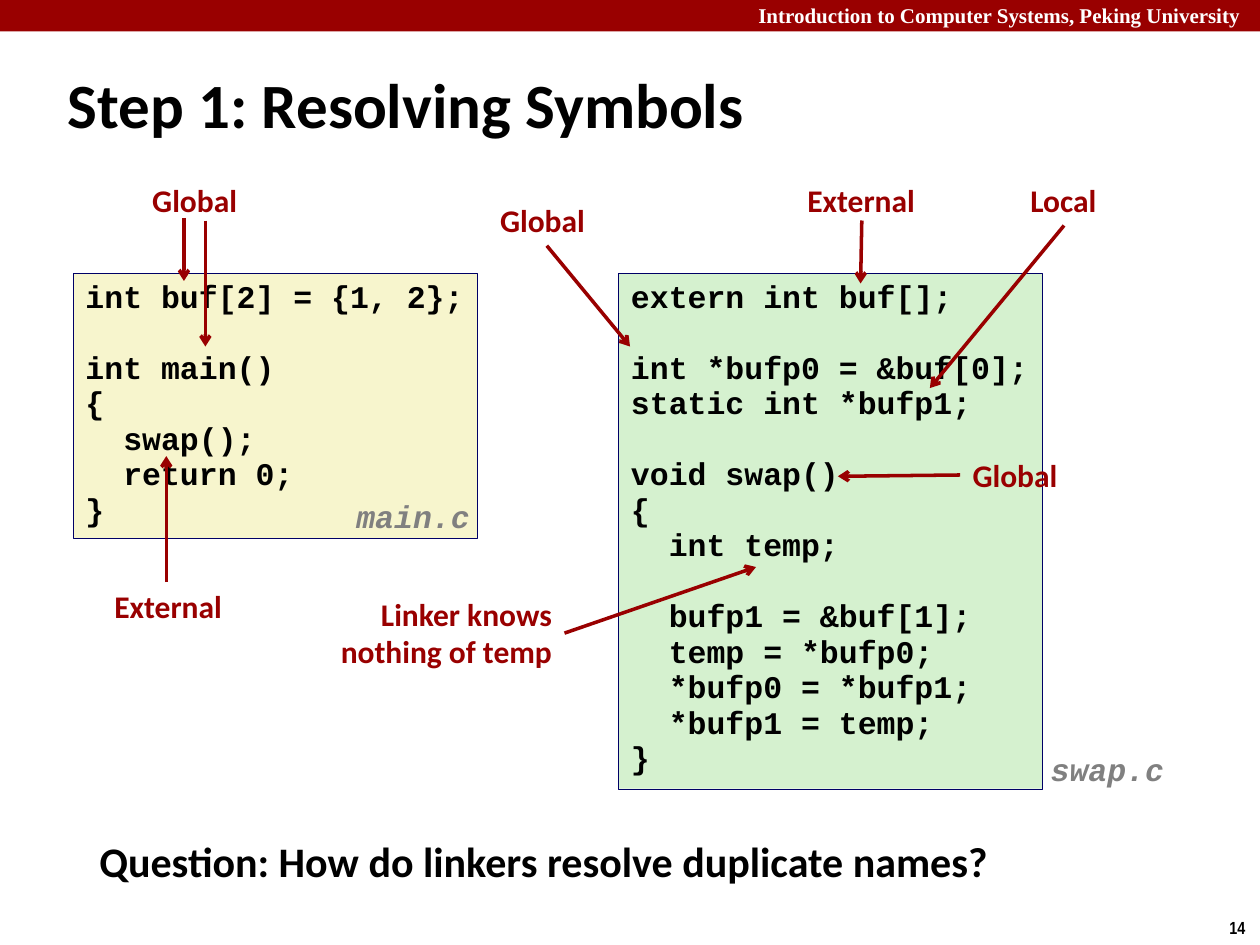
"""Build the slide on resolving symbols between main.c and swap.c."""
from dataclasses import dataclass
from typing import Optional

import pptx
import pptx.dml.color
import pptx.enum.shapes
import pptx.enum.text
import pptx.oxml
import pptx.oxml.ns
import pptx.util

Inches = pptx.util.Inches
Pt = pptx.util.Pt
RGB = pptx.dml.color.RGBColor
Align = pptx.enum.text.PP_ALIGN
Anchor = pptx.enum.text.MSO_ANCHOR
Fit = pptx.enum.text.MSO_AUTO_SIZE
RECT = pptx.enum.shapes.MSO_SHAPE.RECTANGLE
STRAIGHT = pptx.enum.shapes.MSO_CONNECTOR.STRAIGHT

RED = RGB(0x99, 0x00, 0x00)
BLACK = RGB(0x00, 0x00, 0x00)
WHITE = RGB(0xFF, 0xFF, 0xFF)
GRAY = RGB(0x80, 0x80, 0x80)
NAVY = RGB(0x00, 0x00, 0x66)
CREAM = RGB(0xF7, 0xF5, 0xCD)
GREEN = RGB(0xD5, 0xF1, 0xCF)

MAIN = """int buf[2] = {1, 2};
 
int main()
{
  swap();
  return 0;
}"""

SWAP = """extern int buf[];
 
int *bufp0 = &buf[0];
static int *bufp1;

void swap()
{
  int temp;

  bufp1 = &buf[1];
  temp = *bufp0;
  *bufp0 = *bufp1;
  *bufp1 = temp;
}"""


@dataclass
class Style:
    """Look of a text."""
    font: str
    size: int
    color: RGB
    italic: bool = False
    space: Optional[float] = None
    align: Align = Align.LEFT
    wrap: bool = False


@dataclass
class Note:
    """Text in a box."""
    text: str
    box: tuple
    style: Style


@dataclass
class Code:
    """Listing in a filled panel."""
    text: str
    box: tuple
    fill: RGB
    name: Note


@dataclass
class Arrow:
    """Line with a head at its end, and the side of the label it leaves."""
    start: tuple
    end: tuple
    side: Optional[int] = None


@dataclass
class Call:
    """Red label with its arrows."""
    note: Note
    arrows: list


HEAD = Style("Times New Roman", 12, WHITE, wrap=True)
PAGE = Style("Arial Narrow", 10, BLACK)
TITLE = Style("Calibri", 36, BLACK, wrap=True)
ASK = Style("Calibri", 24, BLACK, wrap=True)
CODE = Style("Courier New", 18, BLACK, space=0.94)
FILE = Style("Courier New", 18, GRAY, italic=True, space=0.94)
LABEL = Style("Calibri", 18, RED)
RIGHT = Style("Calibri", 18, RED, align=Align.RIGHT)

CODES = [
    Code(MAIN, (0.58, 2.17, 3.21, 2.1), CREAM,
         Note("main.c", (2.73, 3.92, 1.1, 0.39), FILE)),
    Code(SWAP, (4.91, 2.17, 3.36, 4.09), GREEN,
         Note("swap.c", (8.24, 5.93, 1.1, 0.39), FILE)),
]

CALLS = [
    Call(Note("Global", (1.11, 1.39, 0.88, 0.4), LABEL),
         [Arrow((1.46, 1.73), (1.46, 2.23)), Arrow((1.63, 1.75), (1.63, 2.75))]),
    Call(Note("External", (0.81, 4.61, 1.06, 0.4), LABEL),
         [Arrow((1.32, 4.62), (1.32, 3.62))]),
    Call(Note("External", (6.31, 1.39, 1.06, 0.4), LABEL),
         [Arrow((6.84, 1.75), (6.83, 2.25))]),
    Call(Note("Local", (8.08, 1.39, 0.73, 0.4), LABEL),
         [Arrow((8.45, 1.79), (7.38, 3.08), 2)]),
    Call(Note("Global", (7.62, 3.57, 0.88, 0.4), LABEL),
         [Arrow((7.62, 3.77), (6.65, 3.78), 1)]),
    Call(Note("Linker knows\nnothing of temp", (2.59, 4.67, 1.89, 0.71), RIGHT),
         [Arrow((4.48, 5.02), (6, 4.5), 3)]),
    Call(Note("Global", (3.87, 1.55, 0.88, 0.4), LABEL),
         [Arrow((4.34, 1.95), (5, 2.75))]),
]


def add_xml(parent, tag: str, **attrs: str):
    """Append a drawing element and return it."""
    node = pptx.oxml.parse_xml(f"<a:{tag} {pptx.oxml.ns.nsdecls('a')}/>")
    for key, value in attrs.items():
        node.set(key, value)
    parent.append(node)
    return node


def write(shape, text: str, style: Style) -> None:
    """Fill a shape with styled text."""
    frame = shape.text_frame
    frame.text = text
    frame.word_wrap = style.wrap
    frame.auto_size = Fit.NONE if style.wrap else Fit.SHAPE_TO_FIT_TEXT
    frame.vertical_anchor = Anchor.TOP
    for para in frame.paragraphs:
        para.alignment = style.align
        if style.space:
            para.line_spacing = style.space
        font = para.font
        font.name, font.size = style.font, Pt(style.size)
        font.bold, font.italic = True, style.italic
        font.color.rgb = style.color


def draw_note(slide, note: Note):
    """Draw a text box and return it."""
    shape = slide.shapes.add_textbox(*map(Inches, note.box))
    write(shape, note.text, note.style)
    return shape


def draw_rect(slide, box: tuple, fill: RGB):
    """Draw a plain rectangle and return it."""
    shape = slide.shapes.add_shape(RECT, *map(Inches, box))
    shape.shadow.inherit = False
    shape.fill.solid()
    shape.fill.fore_color.rgb = fill
    shape.line.fill.background()
    return shape


def draw_code(slide, code: Code) -> None:
    """Draw a listing and its file name."""
    shape = draw_rect(slide, code.box, code.fill)
    shape.line.color.rgb = NAVY
    shape.line.width = Pt(0.25)
    write(shape, code.text, CODE)
    draw_note(slide, code.name)


def draw_call(slide, call: Call) -> None:
    """Draw a label and its arrows."""
    label = draw_note(slide, call.note)
    for arrow in call.arrows:
        ends = map(Inches, arrow.start + arrow.end)
        line = slide.shapes.add_connector(STRAIGHT, *ends)
        if arrow.side is not None:
            line.begin_connect(label, arrow.side)
        line.line.color.rgb = RED
        line.line.width = Pt(2)
        add_xml(line.line._get_or_add_ln(), "tailEnd", type="arrow")
        add_xml(line._element.spPr, "effectLst")


def draw_ask(slide) -> None:
    """Draw the bulleted question."""
    shape = slide.shapes.add_textbox(*map(Inches, (0.69, 6.58, 7.73, 0.51)))
    props = shape.text_frame.paragraphs[0]._p.get_or_add_pPr()
    props.set("marL", str(Inches(0.38)))
    props.set("indent", str(-Inches(0.38)))
    add_xml(add_xml(props, "buClr"), "srgbClr", val=str(RED))
    add_xml(props, "buSzPct", val="60000")
    add_xml(props, "buChar", char="■")
    write(shape, "Question: How do linkers resolve duplicate names?", ASK)


def main() -> None:
    """Build and save the slide."""
    deck = pptx.Presentation()
    deck.slide_width, deck.slide_height = Inches(10), Inches(7.5)
    slide = deck.slides.add_slide(deck.slide_layouts[6])
    draw_rect(slide, (0, 0, 10, 0.25), RED)
    draw_note(slide, Note("Introduction to Computer Systems, Peking University",
                          (5.92, -0.03, 4.08, 0.3), HEAD))
    draw_note(slide, Note("14", (9.66, 7.23, 0.34, 0.27), PAGE))
    title = draw_note(slide, Note("Step 1: Resolving Symbols",
                                  (0.44, 0.39, 9.53, 0.86), TITLE))
    title.text_frame.vertical_anchor = Anchor.MIDDLE
    for code in CODES:
        draw_code(slide, code)
    for call in CALLS:
        draw_call(slide, call)
    draw_ask(slide)
    deck.save("out.pptx")


if __name__ == "__main__":
    main()
